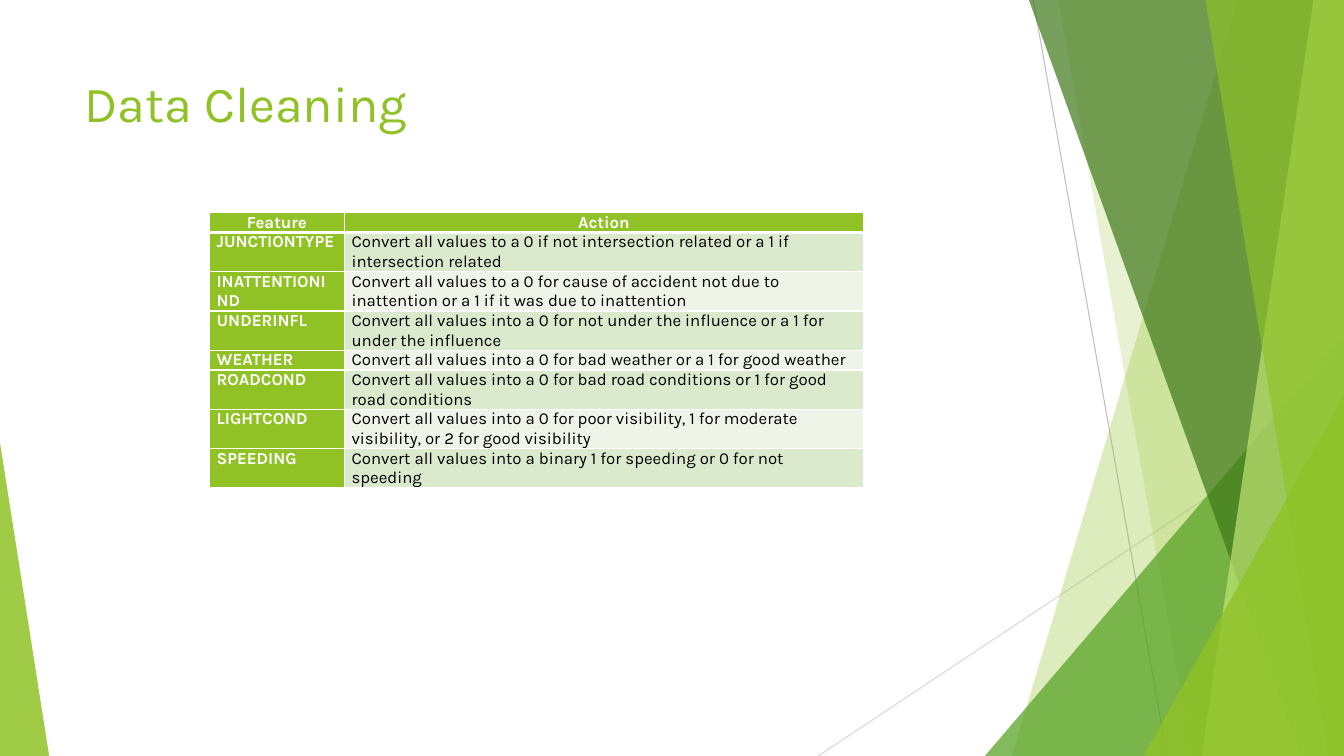
from collections import namedtuple

from lxml import etree
from pptx import Presentation
from pptx.dml.color import RGBColor
from pptx.enum.shapes import MSO_CONNECTOR, MSO_SHAPE
from pptx.enum.text import MSO_ANCHOR, PP_ALIGN
from pptx.oxml.ns import qn
from pptx.util import Cm, Pt

STRAIGHT = MSO_CONNECTOR.STRAIGHT
TRIANGLE = MSO_SHAPE.ISOSCELES_TRIANGLE
TOP = MSO_ANCHOR.TOP
LEFT, CENTER = PP_ALIGN.LEFT, PP_ALIGN.CENTER

FONT = "Karla"
LIME = RGBColor(0x90, 0xC2, 0x26)
GREEN = RGBColor(0x54, 0xA0, 0x21)
FOREST = RGBColor(0x3F, 0x78, 0x19)
PALE_LIME = RGBColor(0xC0, 0xE4, 0x74)
BAND_DARK = RGBColor(0xDB, 0xE9, 0xCD)
BAND_LIGHT = RGBColor(0xEE, 0xF4, 0xE8)
GRAY = RGBColor(0xBF, 0xBF, 0xBF)
LIGHT_GRAY = RGBColor(0xD9, 0xD9, 0xD9)
WHITE = RGBColor(0xFF, 0xFF, 0xFF)
BLACK = RGBColor(0, 0, 0)

# All boxes are in centimetres
Box = namedtuple("Box", "left top width height")
PAGE = Box(0, 0, 33.87, 19.05)
FACETS = Box(24.82, 0, 9.05, 19.05)
CORNER = Box(0, 11.15, 1.24, 7.9)
TITLE = Box(1.88, 1.7, 23.88, 3.66)
TABLE = Box(5.28, 5.36, 16.48, 6.94)

# Feature, action, lines of text
ROWS = [
    ("Feature", "Action", 1),
    ("JUNCTIONTYPE", "Convert all values to a 0 if not intersection related "
     "or a 1 if intersection related", 2),
    ("INATTENTIONIND", "Convert all values to a 0 for cause of accident not due "
     "to inattention or a 1 if it was due to inattention", 2),
    ("UNDERINFL", "Convert all values into a 0 for not under the influence "
     "or a 1 for under the influence", 2),
    ("WEATHER", "Convert all values into a 0 for bad weather "
     "or a 1 for good weather", 1),
    ("ROADCOND", "Convert all values into a 0 for bad road conditions "
     "or 1 for good road conditions", 2),
    ("LIGHTCOND", "Convert all values into a 0 for poor visibility, "
     "1 for moderate visibility, or 2 for good visibility", 2),
    ("SPEEDING", "Convert all values into a binary 1 for speeding "
     "or 0 for not speeding", 2),
]


def to_cm(box):
    return [Cm(length) for length in box]


def style_text(para, size, color, bold=False, align=LEFT):
    para.alignment = align
    for span in para.runs:
        span.font.name = FONT
        span.font.size = Pt(size)
        span.font.bold = bold
        span.font.color.rgb = color


def paint(shape, color, opacity):
    """Flat fill with the given opacity in percent, no outline."""
    shape.shadow.inherit = False
    shape.line.fill.background()
    shape.fill.solid()
    shape.fill.fore_color.rgb = color
    tint = shape.fill._xPr.find(qn("a:solidFill"))[0]
    etree.SubElement(tint, qn("a:alpha"), val=str(opacity * 1000))


def add_line(page, start, end, color):
    line = page.shapes.add_connector(STRAIGHT, *to_cm(start + end))
    line.line.color.rgb = color
    line.line.width = Pt(0.75)
    etree.SubElement(line._element.spPr, qn("a:effectLst"))


def add_facet(page, box, top_x, bottom_x, color, opacity):
    """Band from a slanted left edge to the right side of the box."""
    right, bottom = box.left + box.width, box.top + box.height
    corners = [(box.left + top_x, box.top), (right, box.top),
               (right, bottom), (box.left + bottom_x, bottom)]
    points = [(Cm(x), Cm(y)) for x, y in corners]
    outline = page.shapes.build_freeform(*points[0])
    outline.add_line_segments(points[1:])
    paint(outline.convert_to_shape(), color, opacity)


def add_triangle(page, box, apex, color, opacity):
    triangle = page.shapes.add_shape(TRIANGLE, *to_cm(box))
    triangle.adjustments[0] = apex
    paint(triangle, color, opacity)


def draw_facets(page, box):
    right, bottom = box.left + box.width, box.top + box.height
    add_line(page, (box.left + 1.22, box.top), (box.left + 4.59, bottom), GRAY)
    add_line(page, (right, box.top + 10.24), (box.left - 4.2, bottom), LIGHT_GRAY)

    def corner_triangle(width, height, color, opacity):
        add_triangle(page, Box(right - width, bottom - height, width, height),
                     1, color, opacity)

    add_facet(page, box, 6.37, 0.68, LIME, 30)
    add_facet(page, box, 1.85, 5.23, LIME, 20)
    corner_triangle(box.width, 10.59, GREEN, 72)
    add_facet(page, box, 1.11, 7.97, FOREST, 70)
    add_facet(page, box, 8.28, 5.46, PALE_LIME, 70)
    add_facet(page, box, 5.56, 8.66, LIME, 65)
    corner_triangle(5.05, 9.07, LIME, 80)


def place_title(page, box):
    title = page.shapes.title
    title.left, title.top, title.width, title.height = to_cm(box)
    frame = title.text_frame
    frame.text = "Data Cleaning"
    frame.vertical_anchor = TOP
    style_text(frame.paragraphs[0], 36, LIME)
    page.shapes._spTree.append(title._element)  # in front of the facets


def add_borders(cell, **widths):
    """White borders; widths are in points, keyed by side L, R, T, B."""
    properties = cell._tc.get_or_add_tcPr()
    for side, width in widths.items():
        border = etree.SubElement(properties, qn("a:ln" + side), w=str(Pt(width)))
        fill = etree.SubElement(border, qn("a:solidFill"))
        etree.SubElement(fill, qn("a:srgbClr"), val=str(WHITE))


def draw_table(page, box):
    table = page.shapes.add_table(len(ROWS), 2, *to_cm(box)).table
    feature_width = 3.4
    table.columns[0].width = Cm(feature_width)
    table.columns[1].width = Cm(box.width - feature_width)
    line_height = box.height / sum(lines for _, _, lines in ROWS)

    for row, (feature, action, lines) in enumerate(ROWS):
        table.rows[row].height = Cm(line_height * lines)
        for column, text in enumerate((feature, action)):
            cell = table.cell(row, column)
            add_borders(cell, L=1, R=1, T=3 if row == 1 else 1,
                        B=3 if row == 0 else 1)
            heading = row == 0 or column == 0
            band = BAND_DARK if row % 2 else BAND_LIGHT
            cell.fill.solid()
            cell.fill.fore_color.rgb = LIME if heading else band
            cell.margin_left = cell.margin_right = Cm(0.18)
            cell.margin_top = cell.margin_bottom = 0
            cell.text_frame.text = text
            style_text(cell.text_frame.paragraphs[0], 12,
                       WHITE if heading else BLACK, heading,
                       CENTER if row == 0 else LEFT)


deck = Presentation()
deck.slide_width, deck.slide_height = Cm(PAGE.width), Cm(PAGE.height)
title_only = deck.slide_layouts[5]
slide = deck.slides.add_slide(title_only)

draw_facets(slide, FACETS)
add_triangle(slide, CORNER, 0, LIME, 85)
place_title(slide, TITLE)
draw_table(slide, TABLE)

deck.save("out.pptx")
